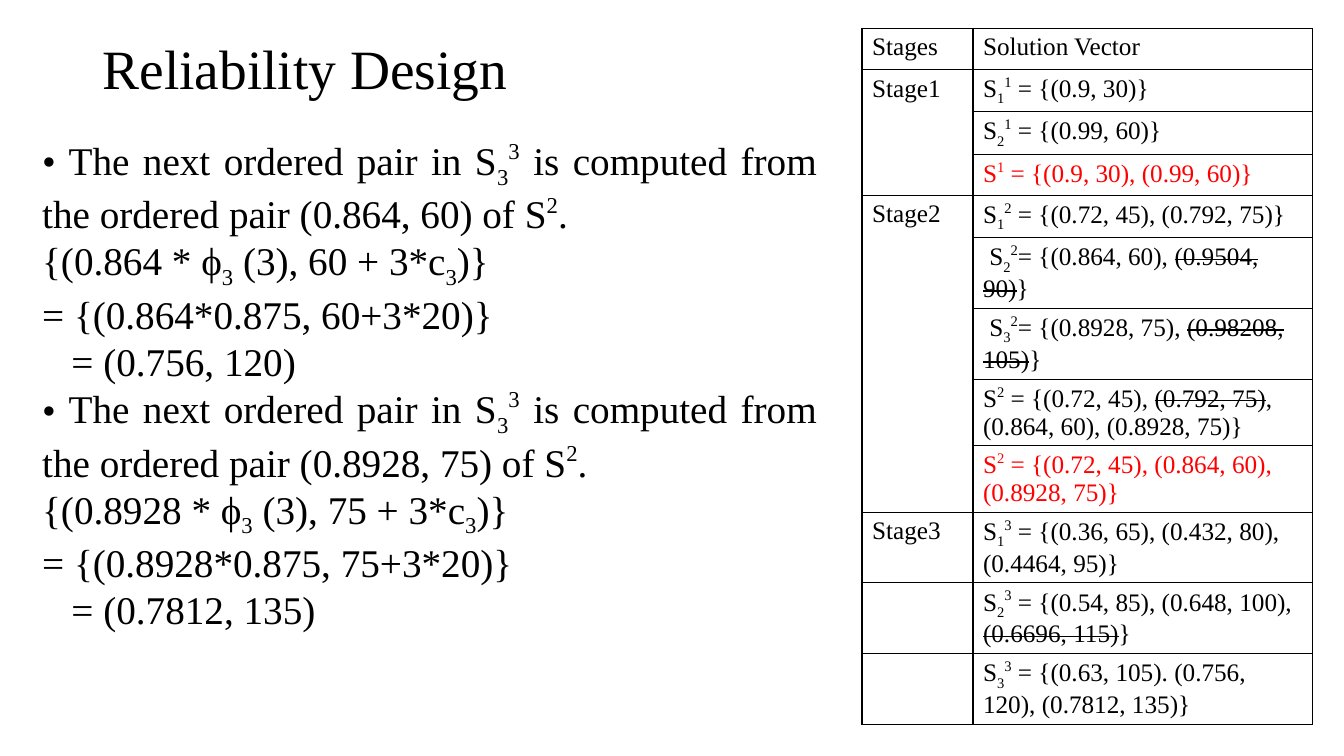
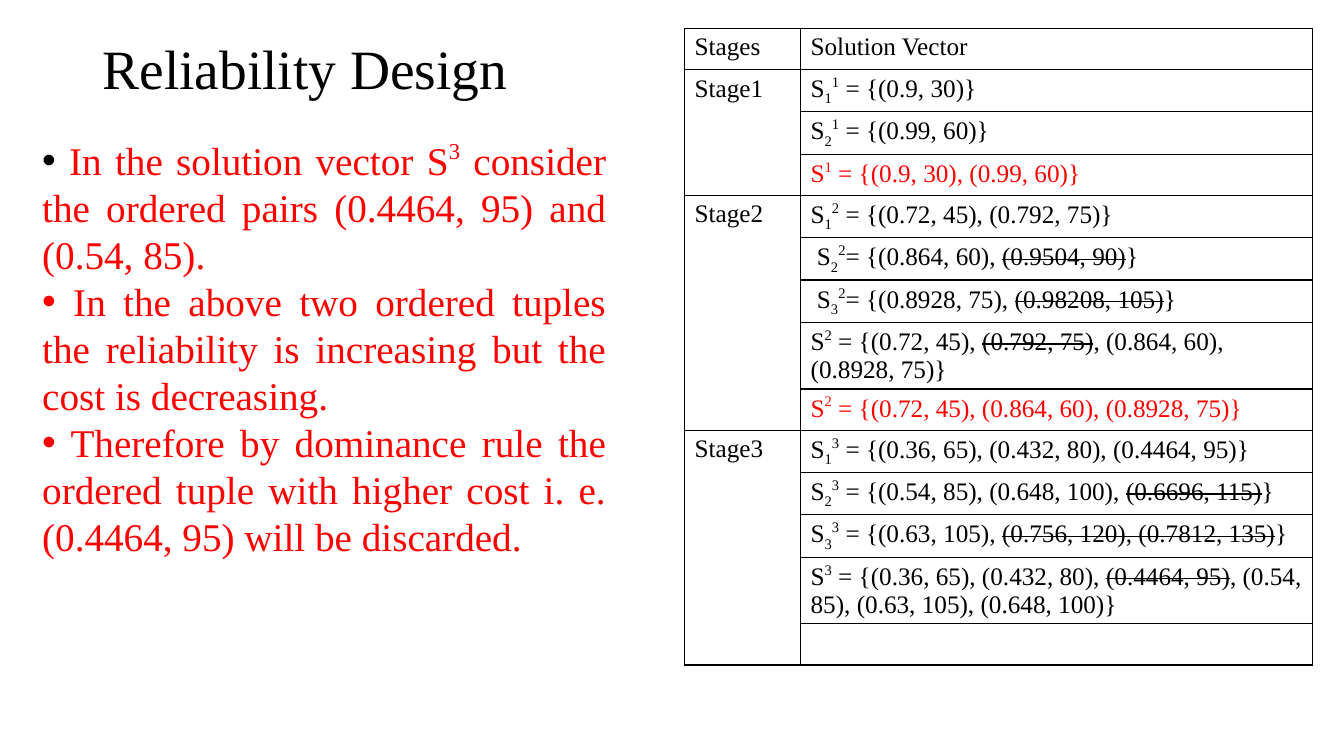
import pptx
import pptx.util
import pptx.dml.color
import pptx.enum.text
import pptx.oxml.ns
from lxml import etree

Inches = pptx.util.Inches
ALIGN = pptx.enum.text.PP_ALIGN
ANCHOR = pptx.enum.text.MSO_ANCHOR

# Shared look
COLORS = {"ink": "000000", "accent": "FF0000"}
FONT = "Times New Roman"
TITLE_SIZE, BODY_SIZE, TABLE_SIZE = 39.6, 28, 18
TABLE_TOP, ROW_HEIGHT, SUBSCRIPT_ROW_HEIGHT = 0.28, 0.41, 0.42
CELL_BOTTOM = 0.01
RESULT_INDENT = 0.29

# Markup: parts are parted by "|"; a leading _, ^ or ~ marks the part's format
MARKS = {
    "_": {"baseline": "-25000"},
    "^": {"baseline": "40000"},
    "~": {"strike": "sngStrike"},
}

# Table rows: text and colour, grouped under each stage
STAGE1 = [
    ("S|_1|^1| = {(0.9, 30)}", "ink"),
    ("S|_2|^1| = {(0.99, 60)}", "ink"),
    ("S|^1| = {(0.9, 30), (0.99, 60)}", "accent"),
]
STAGE2 = [
    ("S|_1|^2| = {(0.72, 45), (0.792, 75)}", "ink"),
    (" S|_2|^2|= {(0.864, 60), |~(0.9504, 90)|}", "ink"),
    (" S|_3|^2|= {(0.8928, 75), |~(0.98208, 105)|}", "ink"),
    ("S|^2| = {(0.72, 45), |~(0.792, 75)|, (0.864, 60), (0.8928, 75)}", "ink"),
    ("S|^2| = {(0.72, 45), (0.864, 60), (0.8928, 75)}", "accent"),
]
STAGE3 = [
    ("S|_1|^3| = {(0.36, 65), (0.432, 80), (0.4464, 95)}", "ink"),
    ("S|_2|^3| = {(0.54, 85), (0.648, 100), |~(0.6696, 115)|}", "ink"),
]
OPEN_PAIRS = [("S|_3|^3| = {(0.63, 105). (0.756, 120), (0.7812, 135)}", "ink")]
MERGED_PAIRS = [
    ("S|_3|^3| = {(0.63, 105), |~(0.756, 120), (0.7812, 135)|}", "ink"),
    ("S|^3| = {(0.36, 65), (0.432, 80), |~(0.4464, 95)|, "
     "(0.54, 85), (0.63, 105), (0.648, 100)}", "ink"),
    ("", "ink"),
]
COMMON_GROUPS = [
    ("Stages", [("Solution Vector", "ink")]),
    ("Stage1", STAGE1),
    ("Stage2", STAGE2),
]


def add_child(parent, tag, **attributes):
    child = etree.SubElement(parent, pptx.oxml.ns.qn(tag))
    for name, value in attributes.items():
        child.set(name, value)
    return child


def write_text(para, text, size, color="ink"):
    """Write marked-up text as formatted spans."""
    for part in filter(None, text.split("|")):
        marks = MARKS.get(part[0], {})
        span = para.add_run()
        span.text = part[1:] if marks else part
        look = {"name": FONT, "size": pptx.util.Pt(size)}
        for name, value in look.items():
            setattr(span.font, name, value)
        span.font.color.rgb = pptx.dml.color.RGBColor.from_string(COLORS[color])
        for name, value in marks.items():
            span._r.get_or_add_rPr().set(name, value)


def set_paragraph(para, bullet=None, indent=0):
    """Set the indent and, if given, a bullet of (colour, font)."""
    properties = para._p.get_or_add_pPr()
    properties.set("marL", str(Inches(indent)))
    properties.set("indent", "0")
    if bullet:
        color, font = bullet
        add_child(add_child(properties, "a:buClr"), "a:srgbClr", val=COLORS[color])
        add_child(properties, "a:buFont", typeface=font)
        add_child(properties, "a:buChar", char="•")
    para.alignment = ALIGN.JUSTIFY


def add_box(page, left, top, width, height, anchor=ANCHOR.TOP):
    box = page.shapes.add_textbox(*map(Inches, (left, top, width, height)))
    frame = box.text_frame
    for name, value in {"word_wrap": True, "vertical_anchor": anchor}.items():
        setattr(frame, name, value)
    return frame


def add_title(page):
    frame = add_box(page, 0.92, 0.4, 5.92, 0.61, ANCHOR.MIDDLE)
    para = frame.paragraphs[0]
    para.line_spacing = 0.9
    write_text(para, "Reliability Design", TITLE_SIZE)


def add_body(page, width, height, lines):
    """Each line is text, colour, bullet and indent."""
    frame = add_box(page, 0.32, 1.3, width, height)
    for number, (text, color, bullet, indent) in enumerate(lines):
        para = frame.add_paragraph() if number else frame.paragraphs[0]
        set_paragraph(para, bullet, indent)
        write_text(para, text, BODY_SIZE, color)


def format_cell(cell):
    """Thin dark borders, no fill and a tight lower margin."""
    properties = cell._tc.get_or_add_tcPr()
    for side in ("a:lnL", "a:lnR", "a:lnT", "a:lnB"):
        line = add_child(properties, side, w=str(pptx.util.Pt(1)))
        add_child(add_child(line, "a:solidFill"), "a:srgbClr", val=COLORS["ink"])
    cell.fill.background()
    cell.margin_bottom = Inches(CELL_BOTTOM)


def add_stage_table(page, left, widths, groups):
    heights = [SUBSCRIPT_ROW_HEIGHT if "|_" in text else ROW_HEIGHT
               for _, rows in groups for text, _ in rows]
    frame = page.shapes.add_table(
        len(heights), len(widths), Inches(left), Inches(TABLE_TOP),
        Inches(sum(widths)), Inches(sum(heights)))
    table = frame.table
    for name in ("first_row", "horz_banding"):
        setattr(table, name, False)
    for column, width in zip(table.columns, widths):
        column.width = Inches(width)
    for row, height in zip(table.rows, heights):
        row.height = Inches(height)
    for cell in table.iter_cells():
        format_cell(cell)

    top = 0
    for label, rows in groups:
        stage = table.cell(top, 0)
        write_text(stage.text_frame.paragraphs[0], label, TABLE_SIZE)
        for offset, (text, color) in enumerate(rows):
            vector = table.cell(top + offset, 1)
            write_text(vector.text_frame.paragraphs[0], text, TABLE_SIZE, color)
        if len(rows) > 1:
            stage.merge(table.cell(top + len(rows) - 1, 0))
        top += len(rows)


def pair_lines(reliability, cost, result):
    """The working for one ordered pair."""
    return [
        (f" The next ordered pair in S|_3|^3| is computed from the ordered pair "
         f"({reliability}, {cost}) of S|^2|.", "ink", ("ink", FONT), 0),
        (f"{{({reliability} * ϕ|_3| (3), {cost} + 3*c|_3|)}}", "ink", None, 0),
        (f"= {{({reliability}*0.875, {cost}+3*20)}}", "ink", None, 0),
        (f"= ({result})", "ink", None, RESULT_INDENT),
    ]


def main():
    deck = pptx.Presentation()
    deck.slide_width, deck.slide_height = Inches(13.33), Inches(7.5)
    pages = [deck.slides.add_slide(deck.slide_layouts[6]) for _ in range(2)]
    for page in pages:
        add_title(page)
    working, dominance = pages

    # Computing the next pairs
    single_rows = [(label, [row]) for label, row
                   in zip(("Stage3", "", ""), STAGE3 + OPEN_PAIRS)]
    add_stage_table(working, 8.55, (1.1, 3.37), COMMON_GROUPS + single_rows)
    add_body(working, 7.88, 5.38,
             pair_lines("0.864", 60, "0.756, 120")
             + pair_lines("0.8928", 75, "0.7812, 135"))

    # Applying the dominance rule
    add_stage_table(dominance, 6.79, (1.15, 5.08),
                    COMMON_GROUPS + [("Stage3", STAGE3 + MERGED_PAIRS)])
    points = [
        (" In the solution vector S|^3| consider the ordered pairs "
         "(0.4464, 95) and (0.54, 85).", "ink"),
        (" In the above two ordered tuples the reliability is increasing "
         "but the cost is decreasing.", "accent"),
        (" Therefore by dominance rule the ordered tuple with higher cost "
         "i. e. (0.4464, 95) will be discarded.", "accent"),
    ]
    add_body(dominance, 5.79, 4.91,
             [(text, "accent", (bullet, "Arial"), 0) for text, bullet in points])

    deck.save("out.pptx")


if __name__ == "__main__":
    main()
